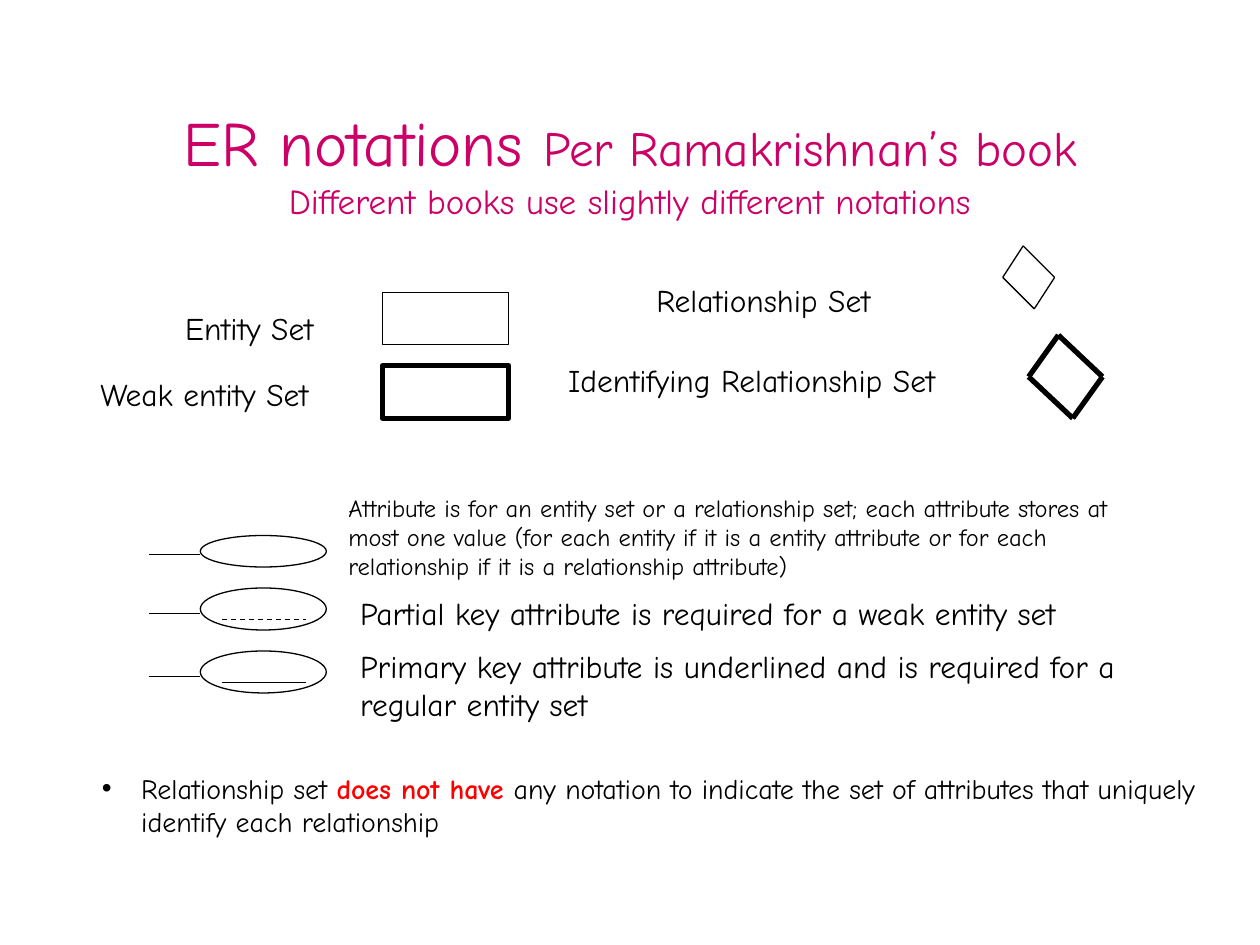
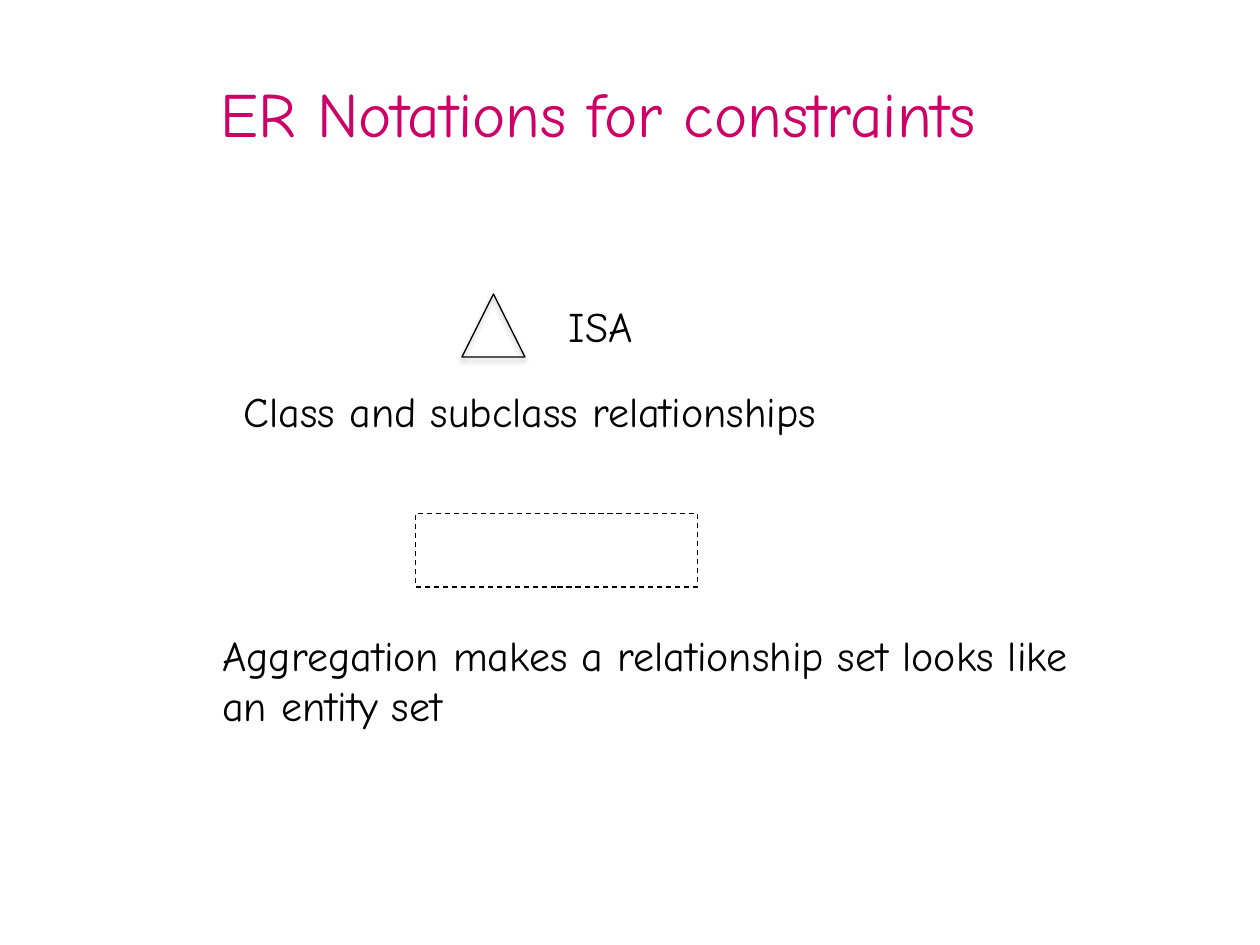
from dataclasses import dataclass
from itertools import pairwise

from lxml.etree import SubElement
from pptx import Presentation
from pptx.dml.color import RGBColor
from pptx.enum.dml import MSO_LINE
from pptx.enum.shapes import MSO_CONNECTOR, MSO_SHAPE
from pptx.enum.text import MSO_ANCHOR, MSO_AUTO_SIZE, PP_ALIGN
from pptx.oxml.ns import qn
from pptx.util import Pt

# Shared style
FONT = "Comic Neue"
COLORS = {"title": "CC0066", "ink": "000000", "alert": "FF0000"}
THIN, THICK = 0.75, 3


@dataclass
class Label:
    text: str
    x: float
    y: float
    w: float
    h: float
    size: float = 18


@dataclass
class Attribute:
    """An ellipse with a stem, and a key line inside it if it is a key."""
    y: float
    h: float
    stem_y: float
    key: bool = False
    dashed: bool = False


def rgb(name: str) -> RGBColor:
    return RGBColor.from_string(COLORS[name])


def style_font(font, size: float, color: str = "ink") -> None:
    font.name, font.size = FONT, Pt(size)
    font.color.rgb = rgb(color)


def style_line(line, width: float, dashed: bool) -> None:
    line.color.rgb = rgb("ink")
    line.width = Pt(width)
    if dashed:
        line.dash_style = MSO_LINE.DASH


def place(sp, x: float, y: float, w: float, h: float) -> None:
    sp.left, sp.top, sp.width, sp.height = Pt(x), Pt(y), Pt(w), Pt(h)


def set_title(s, parts: list[tuple[str, float]], x: float, y: float, w: float, h: float) -> None:
    sp = s.shapes.title
    place(sp, x, y, w, h)
    tf = sp.text_frame
    tf.word_wrap, tf.auto_size = True, MSO_AUTO_SIZE.NONE
    tf.vertical_anchor = MSO_ANCHOR.MIDDLE
    p = tf.paragraphs[0]
    p.alignment = PP_ALIGN.CENTER
    for text, size in parts:
        if text == "\n":
            p.add_line_break()
            continue
        r = p.add_run()
        r.text = text
        style_font(r.font, size, "title")


def add_label(s, label: Label) -> None:
    sp = s.shapes.add_textbox(Pt(label.x), Pt(label.y), Pt(label.w), Pt(label.h))
    tf = sp.text_frame
    tf.word_wrap = True
    p = tf.paragraphs[0]
    p.text = label.text
    style_font(p.font, label.size)


def add_outline(s, kind: MSO_SHAPE, x: float, y: float, w: float, h: float,
                width: float = THIN, dashed: bool = False):
    sp = s.shapes.add_shape(kind, Pt(x), Pt(y), Pt(w), Pt(h))
    sp.shadow.inherit = False
    sp.fill.background()
    style_line(sp.line, width, dashed)
    return sp


def add_line(s, start: tuple[float, float], end: tuple[float, float],
             width: float = THIN, dashed: bool = False) -> None:
    points = [Pt(v) for v in (*start, *end)]
    cx = s.shapes.add_connector(MSO_CONNECTOR.STRAIGHT, *points)
    style_line(cx.line, width, dashed)
    SubElement(cx._element.spPr, qn("a:effectLst"))


def add_diamond(s, corners: list[tuple[float, float]], width: float) -> None:
    for start, end in pairwise(corners + corners[:1]):
        add_line(s, start, end, width)


def add_attribute(s, a: Attribute) -> None:
    add_line(s, (85, a.stem_y), (114.5, a.stem_y))
    add_outline(s, MSO_SHAPE.OVAL, 114.5, a.y, 72, a.h)
    if a.key:
        key_y = a.y + 18
        add_line(s, (126.7, key_y), (175, key_y), dashed=a.dashed)


def add_soft_shadow(sp) -> None:
    effects = sp._element.spPr.find(qn("a:effectLst"))
    shadow = SubElement(effects, qn("a:outerShdw"), blurRad=str(Pt(3.1)),
                        dist=str(Pt(1.8)), dir="5400000", rotWithShape="0")
    color = SubElement(shadow, qn("a:srgbClr"), val=COLORS["ink"])
    SubElement(color, qn("a:alpha"), val="35000")


prs = Presentation()
prs.slide_width, prs.slide_height = Pt(720), Pt(540)

# Slide 1: basic notations
s = prs.slides.add_slide(prs.slide_layouts[1])
set_title(s, [("ER notations ", 36), ("Per Ramakrishnan’s book", 28), ("\n", 28),
              ("Different books use slightly different notations", 20)], 54, 48, 612, 90)

# Entity sets and relationship sets: the weak forms have thick outlines
for y, width in ((167, THIN), (209, THICK)):
    add_outline(s, MSO_SHAPE.RECTANGLE, 218.7, y, 72, 30, width)
add_diamond(s, [(584.7, 140.5), (573, 158.5), (591, 176.5), (602.7, 158.5)], THIN)
add_diamond(s, [(604.8, 191.5), (587.8, 215.3), (613, 239), (630, 215.3)], THICK)

# Attributes: plain, partial key, primary key
for attribute in (
    Attribute(306, 18, 316.7),
    Attribute(336, 24, 350.5, key=True, dashed=True),
    Attribute(372, 24, 386.5, key=True),
):
    add_attribute(s, attribute)

for label in (
    Label("Entity Set", 98.7, 173, 103, 29),
    Label("Weak entity Set", 50.3, 211, 154, 29),
    Label("Relationship Set", 368, 157, 152, 29),
    Label("Identifying Relationship Set", 317.5, 203, 253.5, 29),
    Label("Attribute is for an entity set or a relationship set; each attribute stores "
          "at most one value (for each entity if it is a entity attribute or for each "
          "relationship if it is a relationship attribute)", 192, 278, 456, 58, 14),
    Label("Partial key attribute is required for a weak entity set", 198.7, 336, 470, 29),
    Label("Primary key attribute is underlined and is required for a regular entity set",
          198.7, 366, 461.5, 51),
):
    add_label(s, label)

# Closing bullet
body = s.placeholders[1]
place(body, 51, 437, 639.5, 46)
tf = body.text_frame
tf.word_wrap, tf.auto_size = True, MSO_AUTO_SIZE.NONE
p = tf.paragraphs[0]
p.space_before = Pt(0)
style_font(p.font, 16)
for text, color in (
    ("Relationship set ", "ink"),
    ("does not have ", "alert"),
    ("any notation to indicate the set of attributes that uniquely identify each relationship", "ink"),
):
    r = p.add_run()
    r.text = text
    style_font(r.font, 16, color)
    r.font.bold = color == "alert"
pPr = p._p.get_or_add_pPr()
pPr.set("marL", str(Pt(22.5)))
pPr.set("indent", str(-Pt(22.5)))
bullet = pPr.makeelement(qn("a:buChar"), {"char": "•"})
pPr.insert_element_before(bullet, "a:tabLst", "a:defRPr", "a:extLst")

# Slide 2: constraints
s = prs.slides.add_slide(prs.slide_layouts[5])
set_title(s, [("ER Notations for constraints", 36)], 18, 19, 648, 90)
add_soft_shadow(add_outline(s, MSO_SHAPE.ISOSCELES_TRIANGLE, 264, 168, 36, 36))
add_outline(s, MSO_SHAPE.RECTANGLE, 237.5, 293.5, 161, 42, dashed=True)
for label in (
    Label("ISA", 318, 168, 62, 36, 24),
    Label("Class and subclass relationships", 132.3, 216.5, 371.5, 36, 24),
    Label("Aggregation makes a relationship set looks like an entity set", 120, 356, 504, 65, 24),
):
    add_label(s, label)

prs.save("out.pptx")
